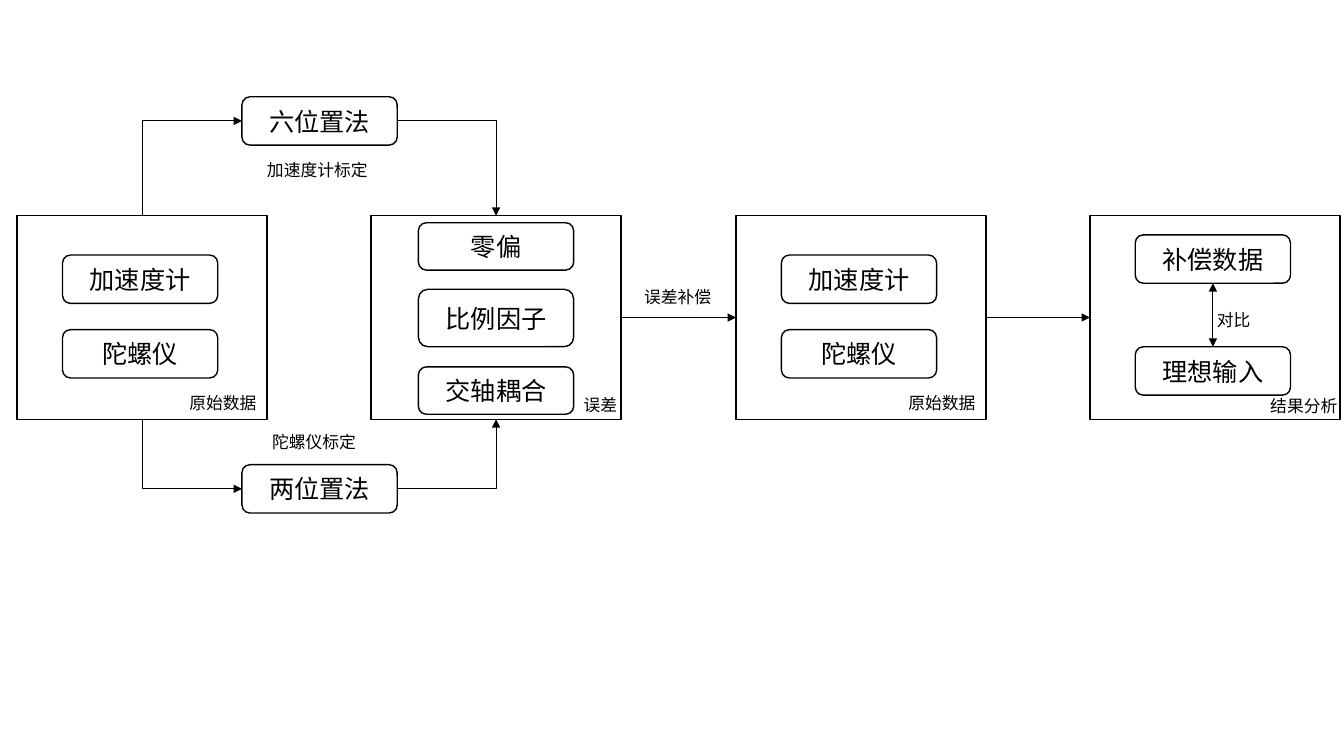
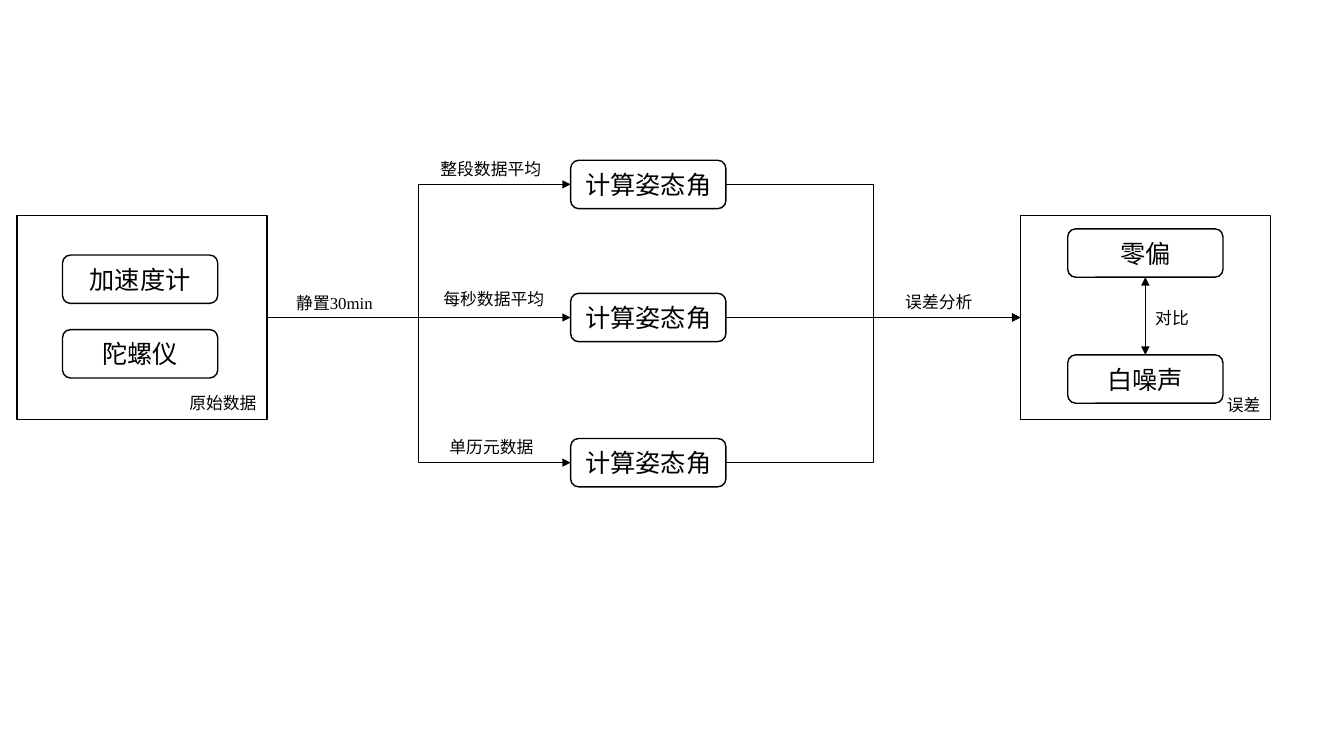
from lxml import etree
from pptx import Presentation
from pptx.dml.color import RGBColor
from pptx.enum.shapes import MSO_CONNECTOR, MSO_SHAPE
from pptx.enum.text import MSO_ANCHOR, MSO_AUTO_SIZE, PP_ALIGN
from pptx.oxml.ns import qn
from pptx.util import Pt

RECT, ROUND = MSO_SHAPE.RECTANGLE, MSO_SHAPE.ROUNDED_RECTANGLE
STRAIGHT, ELBOW = MSO_CONNECTOR.STRAIGHT, MSO_CONNECTOR.ELBOW
CENTER, LEFT_ALIGN = PP_ALIGN.CENTER, PP_ALIGN.LEFT
MIDDLE = MSO_ANCHOR.MIDDLE
GROW = MSO_AUTO_SIZE.SHAPE_TO_FIT_TEXT

BLACK = RGBColor(0x00, 0x00, 0x00)
SANS = "Noto Sans CJK SC"
SERIF = "Times New Roman"
TOP, LEFT, BOTTOM, RIGHT = range(4)

SCALE = 9144
PANEL_TOP, PANEL_W, PANEL_H = 214, 248, 202
BOX_W, BOX_H = 154, 48
LABEL_H = 30


def px(n):
    return n * SCALE


class Diagram:
    def __init__(self, prs):
        self.prs = prs
        self.shapes = None

    def new_slide(self):
        self.shapes = self.prs.slides.add_slide(self.prs.slide_layouts[6]).shapes

    def outline(self, kind, x, y, w, h):
        sp = self.shapes.add_shape(kind, px(x), px(y), px(w), px(h))
        sp.shadow.inherit = False
        sp.fill.background()
        sp.line.color.rgb = BLACK
        sp.line.width = Pt(1)
        return sp

    def set_text(self, tf, text, size, font, align):
        tf.word_wrap = True
        p = tf.paragraphs[0]
        p.text = text
        p.alignment = align
        p.font.size = Pt(size)
        p.font.color.rgb = BLACK
        p.font.name = font
        def_rpr = p._p.pPr.find(qn("a:defRPr"))
        etree.SubElement(def_rpr, qn("a:ea"), typeface=SANS)

    def box(self, x, y, text, h=BOX_H):
        sp = self.outline(ROUND, x, y, BOX_W, h)
        sp.text_frame.vertical_anchor = MIDDLE
        self.set_text(sp.text_frame, text, 18, SANS, CENTER)
        return sp

    def label(self, x, y, w, text, font=SANS):
        sp = self.shapes.add_textbox(px(x), px(y), px(w), px(LABEL_H))
        self.set_text(sp.text_frame, text, 12, font, LEFT_ALIGN)
        sp.text_frame.auto_size = GROW

    def panel(self, x):
        return self.outline(RECT, x, PANEL_TOP, PANEL_W, PANEL_H)

    def raw_data(self, x):
        sp = self.panel(x)
        self.box(x + 45, 253, "加速度计")
        self.box(x + 45, 327, "陀螺仪")
        self.label(x + 161, 385, 91, "原始数据")
        return sp

    def link(self, start, start_site, end, end_site, kind=STRAIGHT,
             ends=("tailEnd",), corner=False):
        cx = self.shapes.add_connector(kind, 0, 0, 0, 0)
        cx.begin_connect(start, start_site)
        cx.end_connect(end, end_site)
        cx.line.color.rgb = BLACK
        cx.line.width = Pt(0.75)
        sppr = cx._element.spPr
        if corner:
            sppr.find(qn("a:prstGeom")).set("prst", "bentConnector2")
        ln = sppr.find(qn("a:ln"))
        for end_tag in ends:
            etree.SubElement(ln, qn(f"a:{end_tag}"), type="triangle")
        etree.SubElement(sppr, qn("a:effectLst"))

    def compare(self, upper, lower):
        self.link(upper, BOTTOM, lower, TOP, ends=("headEnd", "tailEnd"))


def calibration(d):
    d.new_slide()
    raw = d.raw_data(17)
    errors = d.panel(368)
    for y, h, text in ((221, 47, "零偏"), (287, 57, "比例因子"), (364, 47, "交轴耦合")):
        d.box(415, y, text, h)
    d.label(569, 387, 63, "误差")
    compensated = d.raw_data(730)
    result = d.panel(1081)
    upper = d.box(1126, 233, "补偿数据")
    lower = d.box(1126, 344, "理想输入")
    d.label(1250, 388, 91, "结果分析")
    d.compare(upper, lower)
    d.label(1197, 302, 61, "对比")

    for y, text, site in ((96, "六位置法", TOP), (461, "两位置法", BOTTOM)):
        method = d.box(240, y, text)
        d.link(method, LEFT, raw, site, ELBOW, ("headEnd",), True)
        d.link(method, RIGHT, errors, site, ELBOW, corner=True)
    d.label(255, 154, 124, "加速度计标定")
    d.label(260, 423, 124, "陀螺仪标定")

    d.link(errors, RIGHT, compensated, LEFT)
    d.label(629, 280, 88, "误差补偿")
    d.link(compensated, RIGHT, result, LEFT)


def attitude(d):
    d.new_slide()
    raw = d.raw_data(17)
    errors = d.panel(1012)
    upper = d.box(1059, 227, "零偏")
    lower = d.box(1059, 352, "白噪声")
    d.label(1207, 387, 91, "误差")
    d.compare(upper, lower)
    d.label(1136, 300, 73, "对比", SERIF)

    for y, kind, x, label_y, text in (
        (159, ELBOW, 427, 153, "整段数据平均"),
        (291, STRAIGHT, 430, 282, "每秒数据平均"),
        (435, ELBOW, 436, 428, "单历元数据"),
    ):
        angle = d.box(566, y, "计算姿态角")
        d.link(raw, RIGHT, angle, LEFT, kind)
        d.link(angle, RIGHT, errors, LEFT, kind)
        d.label(x, label_y, 154, text, SERIF)
    d.label(284, 286, 110, "静置30min", SERIF)
    d.label(888, 285, 105, "误差分析", SERIF)


def main():
    prs = Presentation()
    prs.slide_width, prs.slide_height = px(1333), px(750)
    d = Diagram(prs)
    calibration(d)
    attitude(d)
    prs.save("out.pptx")


if __name__ == "__main__":
    main()
